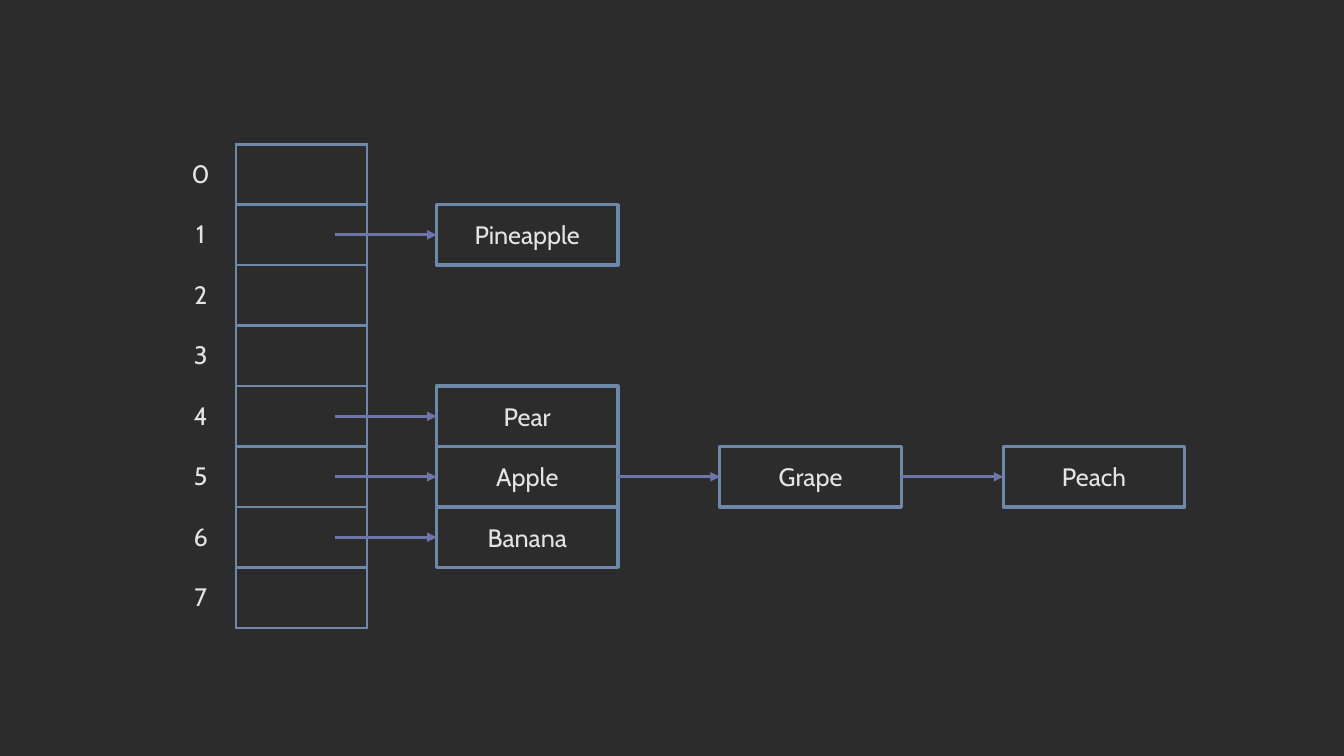
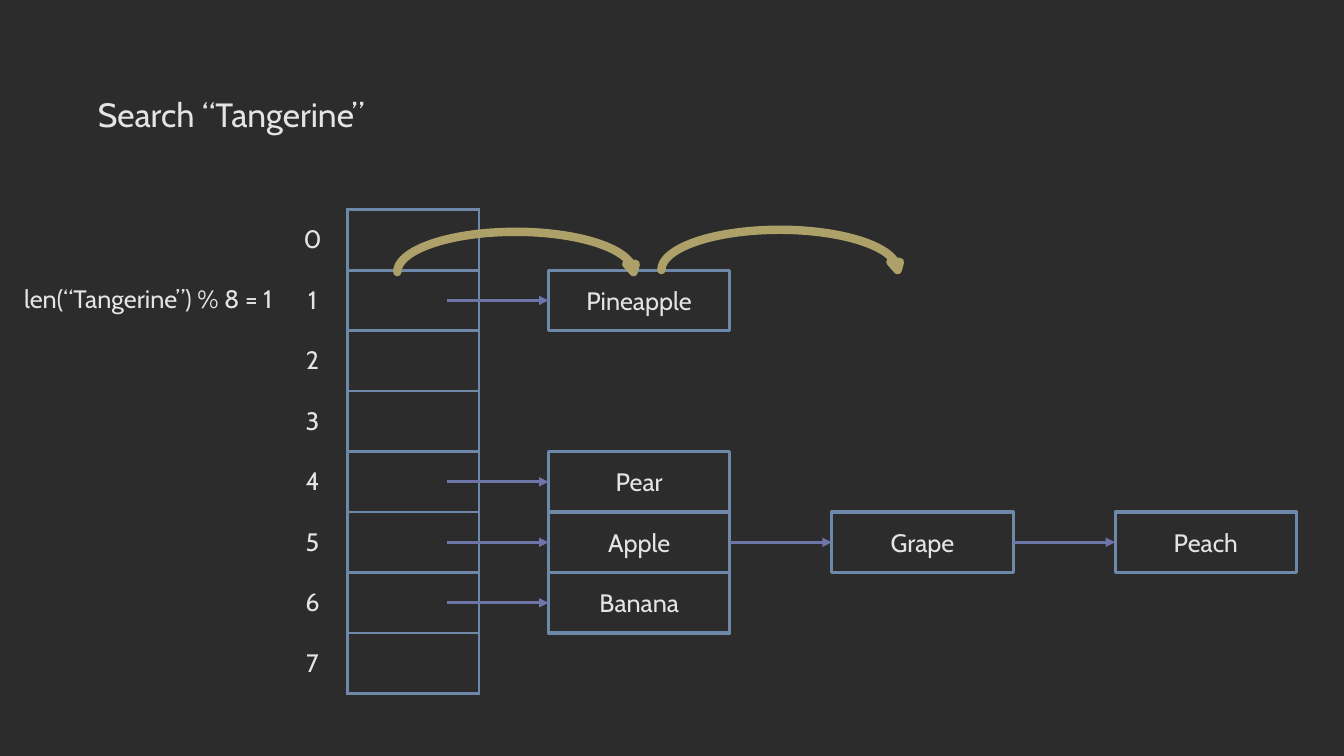
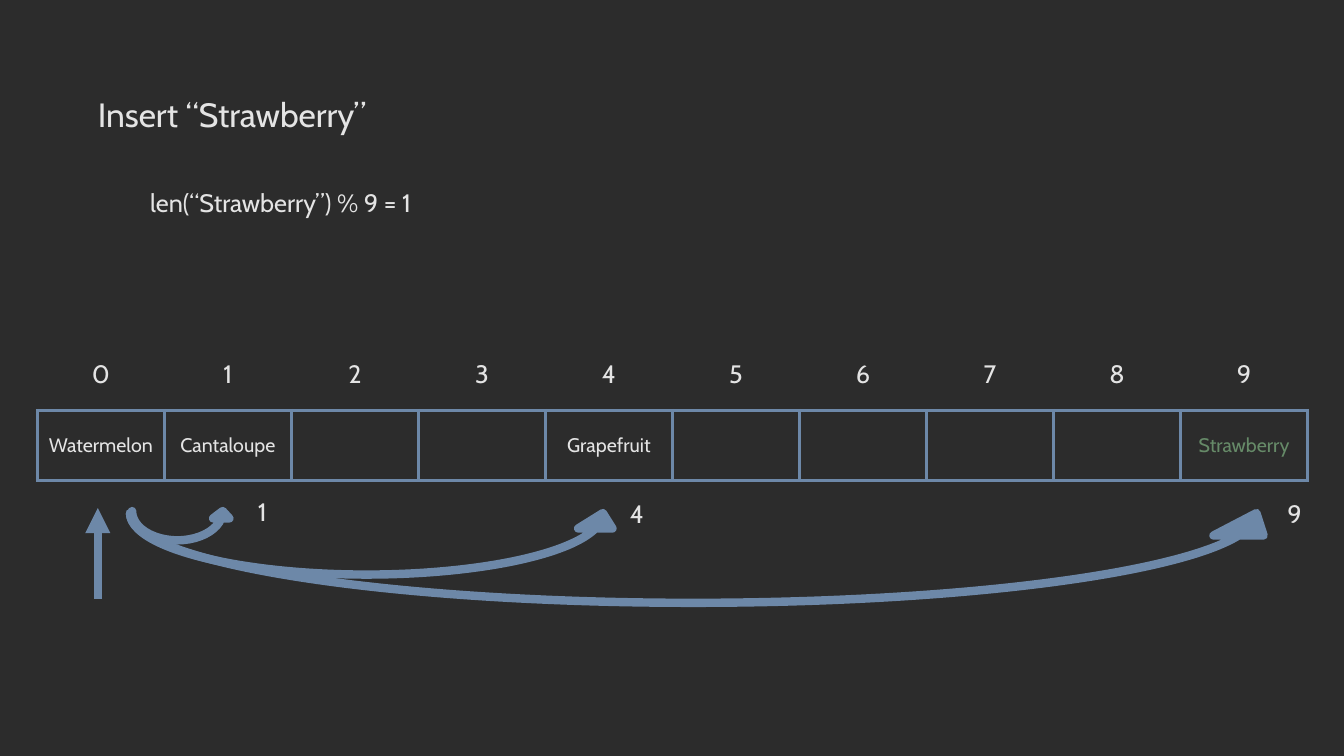
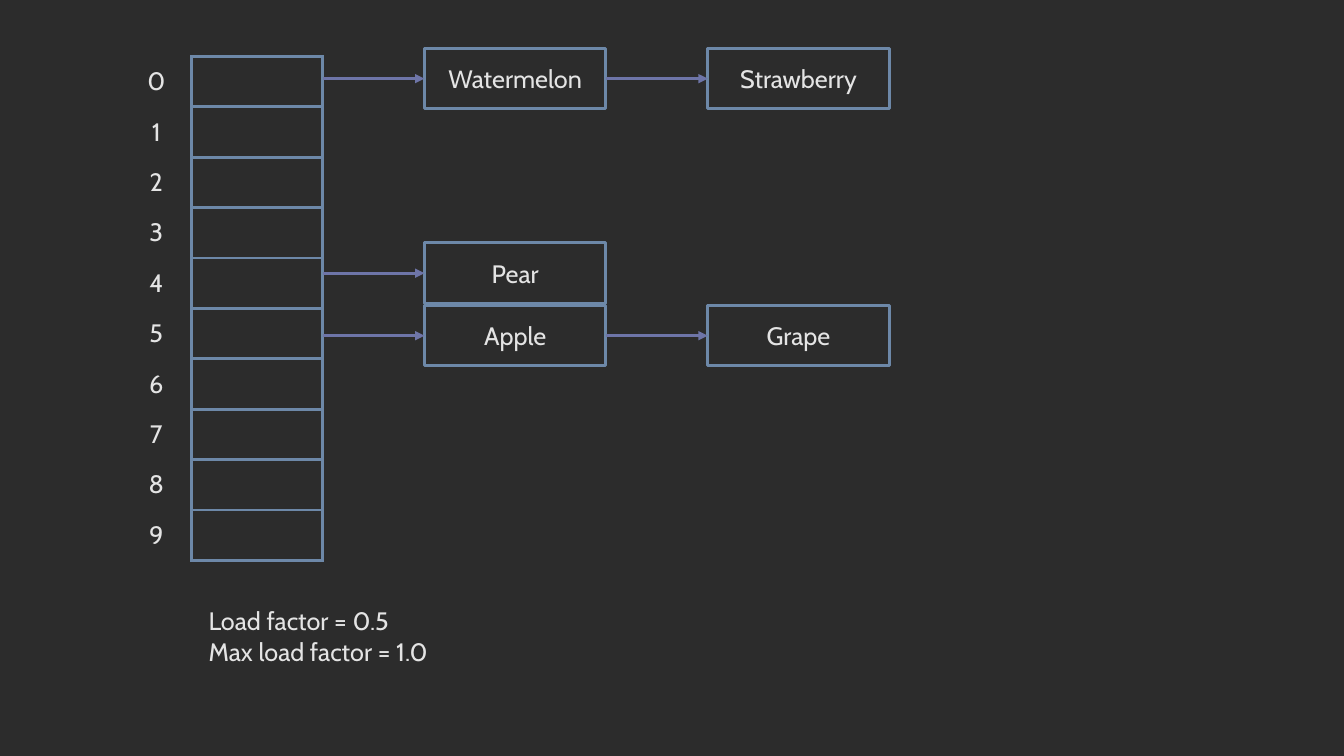
from typing import NamedTuple, Optional

from lxml.etree import SubElement
from pptx import Presentation
from pptx.dml.color import RGBColor
from pptx.enum.shapes import MSO_CONNECTOR, MSO_SHAPE
from pptx.enum.text import MSO_ANCHOR, MSO_AUTO_SIZE, PP_ALIGN
from pptx.oxml.ns import qn
from pptx.shapes.autoshape import Shape
from pptx.shapes.connector import Connector
from pptx.slide import Slide
from pptx.table import Table, _Cell
from pptx.text.text import TextFrame, _Paragraph
from pptx.util import Inches, Pt

FONT = "Cabin"
BACKGROUND = "2C2C2C"
INK = "E4E4E4"
BLUE = "6D88A8"
VIOLET = "6E75A8"
GOLD = "ADA069"
GREEN = "668A68"

THIN, THICK = 2.25, 6
NO_TABLE_STYLE = "{2D5ABB26-0587-4C30-8999-92F81FD0307C}"
INDEX_WIDTH, SLOT_WIDTH = 0.7, 1.3
NODE_WIDTH, NODE_HEIGHT, LINK_LENGTH = 1.8, 0.6, 1.01
TITLE_ONLY, BLANK = 5, 6


class Chain(NamedTuple):
    """A linked list; place is its bucket number or its top in inches."""
    place: float
    words: list[str]


class CurvedArrow(NamedTuple):
    left: float
    top: float
    width: float
    height: float


class Probe(NamedTuple):
    """One jump to a slot, with the slot number written beside its head."""
    arrow: CurvedArrow
    slot: str
    slot_left: float
    slot_top: float


FRUIT_CHAINS = [
    Chain(1, ["Pineapple"]),
    Chain(4, ["Pear"]),
    Chain(5, ["Apple", "Grape", "Peach"]),
    Chain(6, ["Banana"]),
]
SEARCH_HOPS = [
    CurvedArrow(3.94, 2.3, 2.39, 0.4),
    CurvedArrow(6.56, 2.28, 2.39, 0.4),
]
PROBES = [
    Probe(CurvedArrow(1.31, 5.07, 0.98, 0.29), "1", 2.46, 4.87),
    Probe(CurvedArrow(1.29, 5.09, 4.86, 0.61), "4", 6.15, 4.89),
    Probe(CurvedArrow(1.29, 5.09, 11.42, 0.89), "9", 12.67, 4.89),
]
STORED = {0: "Watermelon", 1: "Cantaloupe", 4: "Grapefruit", 9: "Strawberry"}
LOADED_CHAINS = [
    Chain(0.48, ["Watermelon", "Strawberry"]),
    Chain(2.41, ["Pear"]),
    Chain(3.03, ["Apple", "Grape"]),
]


def rgb(colour: str) -> RGBColor:
    return RGBColor.from_string(colour)


def write(paragraph: _Paragraph, text: str, size: float = 18, colour: str = INK,
          align: PP_ALIGN = PP_ALIGN.LEFT) -> None:
    paragraph.alignment = align
    run = paragraph.add_run()
    run.text = text
    run.font.name = FONT
    run.font.size = Pt(size)
    run.font.color.rgb = rgb(colour)


def fit_to_text(frame: TextFrame) -> None:
    frame.word_wrap = False
    frame.auto_size = MSO_AUTO_SIZE.SHAPE_TO_FIT_TEXT
    frame.vertical_anchor = MSO_ANCHOR.TOP


def add_title(slide: Slide, text: str) -> None:
    title = slide.shapes.title
    title.left, title.top = Inches(0.87), Inches(0.88)
    title.width, title.height = Inches(2.97), Inches(0.5)
    fit_to_text(title.text_frame)
    write(title.text_frame.paragraphs[0], text, size=24)


def add_note(slide: Slide, left: float, top: float, width: float, *lines: str) -> None:
    note = slide.shapes.add_textbox(Inches(left), Inches(top), Inches(width),
                                    Inches(0.1 + 0.3 * len(lines)))
    frame = note.text_frame
    fit_to_text(frame)
    for number, line in enumerate(lines):
        write(frame.add_paragraph() if number else frame.paragraphs[0], line)


def set_borders(cell: _Cell, sides: str) -> None:
    """Draw borders on the sides named by the letters L, R, T and B, in this order."""
    properties = cell._tc.get_or_add_tcPr()
    for side in sides:
        border = SubElement(properties, qn(f"a:ln{side}"), w=str(Pt(THIN)))
        fill = SubElement(border, qn("a:solidFill"))
        SubElement(fill, qn("a:srgbClr"), val=BLUE)


def add_table(slide: Slide, left: float, top: float, widths: list[float],
              heights: list[float]) -> Table:
    frame = slide.shapes.add_table(len(heights), len(widths), Inches(left), Inches(top),
                                   Inches(sum(widths)), Inches(sum(heights)))
    table = frame.table
    table.first_row = table.horz_banding = False
    table._tbl.tblPr.find(qn("a:tableStyleId")).text = NO_TABLE_STYLE
    for column, width in zip(table.columns, widths):
        column.width = Inches(width)
    for row, height in zip(table.rows, heights):
        row.height = Inches(height)
    return table


def fill_cell(cell: _Cell, sides: str, text: str = "", size: float = 18,
              colour: str = INK) -> None:
    set_borders(cell, sides)
    cell.fill.background()
    cell.vertical_anchor = MSO_ANCHOR.MIDDLE
    if text:
        write(cell.text_frame.paragraphs[0], text, size, colour, PP_ALIGN.CENTER)


def add_buckets(slide: Slide, left: float, top: float, count: int, height: float) -> None:
    table = add_table(slide, left, top, [INDEX_WIDTH, SLOT_WIDTH], [height] * count)
    for number in range(count):
        fill_cell(table.cell(number, 0), "R", str(number))
        fill_cell(table.cell(number, 1), "LRTB")


def add_slots(slide: Slide, left: float, top: float, count: int,
              stored: dict[int, str], inserted: int) -> None:
    table = add_table(slide, left, top, [1.26] * count, [0.7] * 2)
    for number in range(count):
        fill_cell(table.cell(0, number), "B", str(number))
        colour = GREEN if number == inserted else INK
        fill_cell(table.cell(1, number), "LRTB", stored.get(number, ""), 14, colour)


def add_arrow(slide: Slide, start: tuple[float, float], end: tuple[float, float],
              colour: str = VIOLET, weight: float = THIN) -> Connector:
    arrow = slide.shapes.add_connector(MSO_CONNECTOR.STRAIGHT,
                                       *(Inches(value) for value in start + end))
    arrow.line.color.rgb = rgb(colour)
    arrow.line.width = Pt(weight)
    properties = arrow._element.spPr
    SubElement(properties.find(qn("a:ln")), qn("a:tailEnd"), type="triangle")
    SubElement(properties, qn("a:effectLst"))
    return arrow


def add_node(slide: Slide, left: float, top: float, word: str) -> Shape:
    node = slide.shapes.add_shape(MSO_SHAPE.RECTANGLE, Inches(left), Inches(top),
                                  Inches(NODE_WIDTH), Inches(NODE_HEIGHT))
    node.shadow.inherit = False
    node.fill.background()
    node.line.color.rgb = rgb(BLUE)
    node.line.width = Pt(THIN)
    node.text_frame.vertical_anchor = MSO_ANCHOR.MIDDLE
    write(node.text_frame.paragraphs[0], word, align=PP_ALIGN.CENTER)
    return node


def add_chain(slide: Slide, left: float, top: float, words: list[str]) -> None:
    """Draw a list of nodes, each after an arrow; the first arrow starts at left."""
    middle = top + NODE_HEIGHT / 2
    previous: Optional[Shape] = None
    for word in words:
        node_left = left + LINK_LENGTH
        node = add_node(slide, node_left, top, word)
        link = add_arrow(slide, (left, middle), (node_left, middle))
        if previous is not None:
            link.begin_connect(previous, 3)
        link.end_connect(node, 1)
        previous = node
        left = node_left + NODE_WIDTH


def add_fruit_buckets(slide: Slide, left: float, top: float) -> None:
    add_buckets(slide, left, top, 8, NODE_HEIGHT)
    for chain in FRUIT_CHAINS:
        add_chain(slide, left + 1.68, top + chain.place * NODE_HEIGHT, chain.words)


def add_curved_arrow(slide: Slide, preset: MSO_SHAPE, place: CurvedArrow,
                     adjustments: tuple[float, ...], fill: str, line: str) -> None:
    arrow = slide.shapes.add_shape(preset, *(Inches(value) for value in place))
    for number, value in enumerate(adjustments):
        arrow.adjustments[number] = value
    arrow.shadow.inherit = False
    arrow.fill.solid()
    arrow.fill.fore_color.rgb = rgb(fill)
    arrow.line.color.rgb = rgb(line)
    arrow.line.width = Pt(THICK)


def build_hash_table(slide: Slide) -> None:
    add_fruit_buckets(slide, 1.64, 1.43)


def build_search(slide: Slide) -> None:
    add_title(slide, "Search “Tangerine”")
    add_fruit_buckets(slide, 2.75, 2.08)
    add_note(slide, 0.14, 2.76, 2.77, "len(“Tangerine”) % 8 = 1")
    for hop in SEARCH_HOPS:
        add_curved_arrow(slide, MSO_SHAPE.CURVED_DOWN_ARROW, hop,
                         (0, 0.234, 0.202), VIOLET, GOLD)


def build_insert(slide: Slide) -> None:
    add_title(slide, "Insert “Strawberry”")
    add_slots(slide, 0.37, 3.37, 10, STORED, inserted=9)
    add_note(slide, 1.39, 1.81, 2.91, "len(“Strawberry”) % 9 = 1")
    add_arrow(slide, (0.97, 5.94), (0.97, 5.04), BLUE, THICK)
    for probe in PROBES:
        add_curved_arrow(slide, MSO_SHAPE.CURVED_UP_ARROW, probe.arrow,
                         (0, 0.559, 0.25), BLUE, BLUE)
        add_note(slide, probe.slot_left, probe.slot_top, 0.34, probe.slot)


def build_load_factor(slide: Slide) -> None:
    add_buckets(slide, 1.2, 0.56, 10, 0.5)
    for chain in LOADED_CHAINS:
        add_chain(slide, 3.2, chain.place, chain.words)
    add_note(slide, 1.97, 5.96, 2.45, "Load factor = 0.5", "Max load factor = 1.0")


def main() -> None:
    deck = Presentation()
    deck.slide_width, deck.slide_height = Inches(13.33), Inches(7.5)
    backdrop = deck.slide_master.background.fill
    backdrop.solid()
    backdrop.fore_color.rgb = rgb(BACKGROUND)
    for layout, build in [
        (BLANK, build_hash_table),
        (TITLE_ONLY, build_search),
        (TITLE_ONLY, build_insert),
        (BLANK, build_load_factor),
    ]:
        build(deck.slides.add_slide(deck.slide_layouts[layout]))
    deck.save("out.pptx")


if __name__ == "__main__":
    main()
